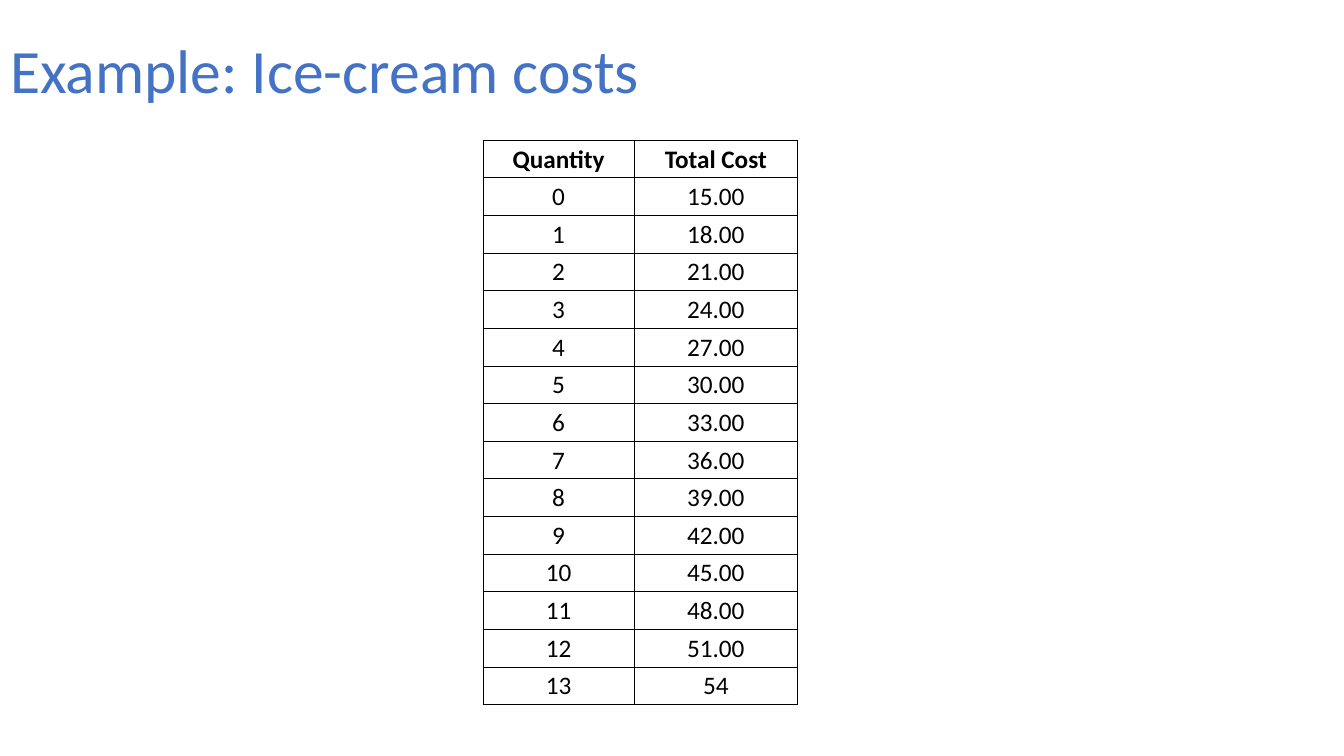
import pptx
import pptx.dml.color
import pptx.enum.text
import pptx.oxml
import pptx.oxml.ns
import pptx.util

Inches = pptx.util.Inches
ALIGN = pptx.enum.text.PP_ALIGN
ANCHOR = pptx.enum.text.MSO_ANCHOR

FONT = "Calibri"
BLUE = "4472C4"
BLACK = "000000"
COLUMN_WIDTHS = (1.5, 1.62)
FIXED_COST, UNIT_COST, LAST_QUANTITY = 15, 3, 13
COSTS = (
    [("Quantity", "Total Cost")]
    + [(str(n), f"{FIXED_COST + UNIT_COST * n:.2f}") for n in range(LAST_QUANTITY)]
    + [(str(LAST_QUANTITY), str(FIXED_COST + UNIT_COST * LAST_QUANTITY))]
)


def color(value):
    return pptx.dml.color.RGBColor.from_string(value)


def add_text(para, text, size, value, bold=False):
    span = para.add_run()
    span.text = text
    span.font.name = FONT
    span.font.size = pptx.util.Pt(size)
    span.font.bold = bold
    span.font.color.rgb = color(value)


def set_borders(cell, value, points):
    """Line all four sides; the borders must precede the cell's fill."""
    properties = cell._tc.get_or_add_tcPr()
    for index, side in enumerate(("lnL", "lnR", "lnT", "lnB")):
        line = pptx.oxml.parse_xml(
            f'<a:{side} {pptx.oxml.ns.nsdecls("a")} w="{pptx.util.Pt(points)}">'
            f'<a:solidFill><a:srgbClr val="{value}"/></a:solidFill></a:{side}>'
        )
        properties.insert(index, line)


def fill_title(page, left, top, width, height):
    title = page.shapes.title
    title.left, title.top = Inches(left), Inches(top)
    title.width, title.height = Inches(width), Inches(height)
    title.text_frame.word_wrap = True
    title.text_frame.vertical_anchor = ANCHOR.MIDDLE
    para = title.text_frame.paragraphs[0]
    para.alignment = ALIGN.LEFT
    para.line_spacing = 0.9
    add_text(para, "Example: Ice-cream costs", 44, BLUE)


def fill_cell(cell, text, bold):
    cell.fill.background()
    set_borders(cell, BLACK, 0.5)
    cell.vertical_anchor = ANCHOR.MIDDLE
    cell.margin_left = cell.margin_right = cell.margin_top = Inches(0.01)
    cell.margin_bottom = 0
    para = cell.text_frame.paragraphs[0]
    para.alignment = ALIGN.CENTER
    add_text(para, text, 18, BLACK, bold)


def add_cost_table(page, left, top, height):
    frame = page.shapes.add_table(
        len(COSTS), len(COLUMN_WIDTHS), Inches(left), Inches(top),
        Inches(sum(COLUMN_WIDTHS)), Inches(height),
    )
    table = frame.table
    table.first_row = True
    table.horz_banding = False
    for column, width in zip(table.columns, COLUMN_WIDTHS):
        column.width = Inches(width)
    for row, values in zip(table.rows, COSTS):
        row.height = Inches(height / len(COSTS))
        for cell, text in zip(row.cells, values):
            fill_cell(cell, text, bold=values is COSTS[0])


def main():
    deck = pptx.Presentation()
    deck.slide_width, deck.slide_height = Inches(13.33), Inches(7.5)
    page = deck.slides.add_slide(deck.slide_layouts[5])
    fill_title(page, 0, 0, 11.5, 1.45)
    add_cost_table(page, 4.79, 1.39, 5.6)
    deck.save("out.pptx")


if __name__ == "__main__":
    main()
